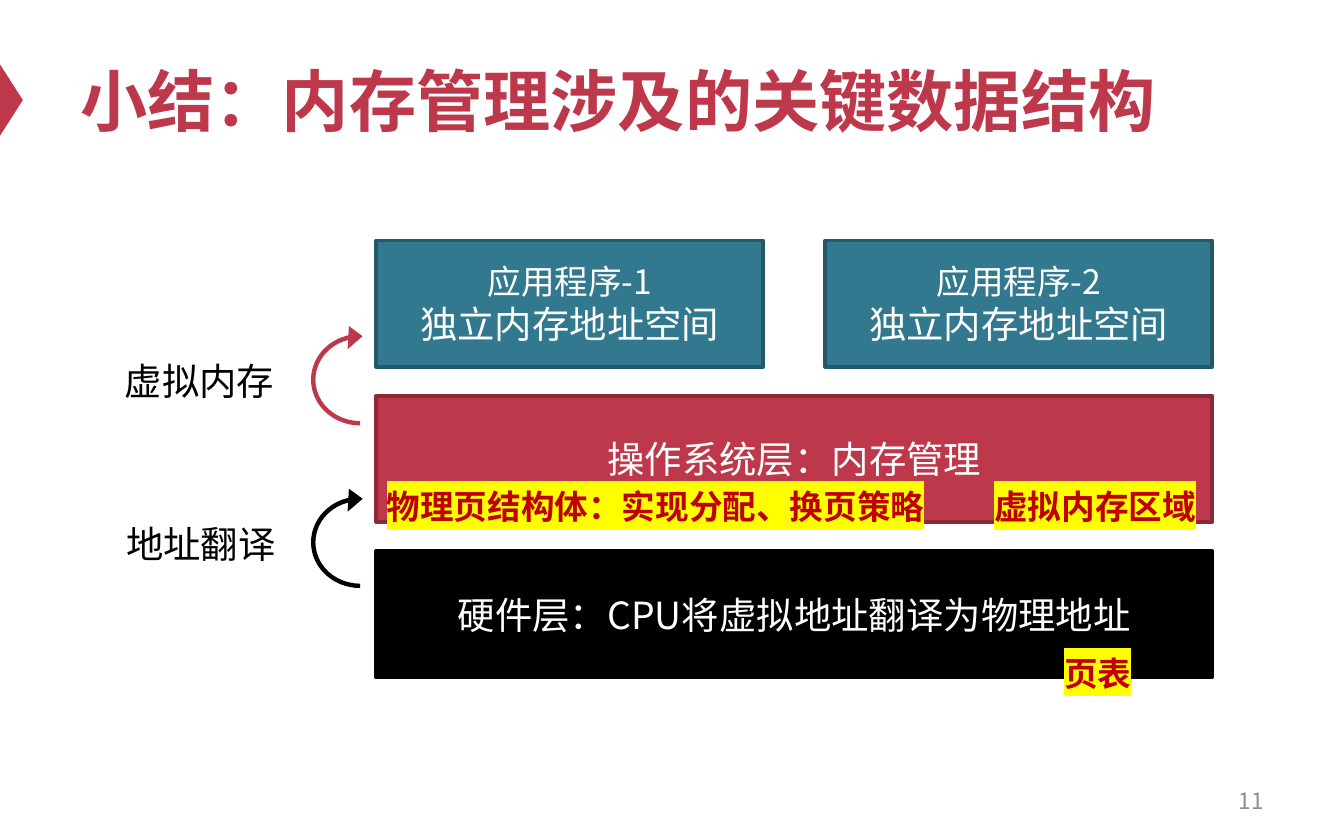
from lxml import etree
from pptx import Presentation
from pptx import util as u
from pptx.dml.color import RGBColor
from pptx.enum import shapes, text
from pptx.oxml.ns import qn

RED = RGBColor(0xBE, 0x38, 0x4B)
DARK_RED = RGBColor(0x8D, 0x29, 0x37)
TEAL = RGBColor(0x32, 0x78, 0x8E)
DARK_TEAL = RGBColor(0x25, 0x59, 0x69)
BLACK = RGBColor(0, 0, 0)
WHITE = RGBColor(0xFF, 0xFF, 0xFF)
GREY = RGBColor(0x8C, 0x8C, 0x8C)
NOTE_RED = RGBColor(0xC0, 0, 0)
YELLOW = RGBColor(0xFF, 0xFF, 0)
LATIN, CJK = "Arial", "Noto Sans CJK SC"
WIDTH, HEIGHT = 10, 6.25
LAYER_H, LAYER_PITCH = 0.94, 1.155


def inches(*values):
    return [u.Inches(v) for v in values]


def add_run(p, words, size, color, font=CJK, bold=False, highlight=None):
    r = p.add_run()
    r.text = words
    f = r.font
    f.size, f.bold, f.name = u.Pt(size), bold, font
    f.color.rgb = color
    rpr = r._r.get_or_add_rPr()
    ea = etree.Element(qn("a:ea"), typeface=CJK)
    rpr.find(qn("a:latin")).addnext(ea)
    if highlight is not None:
        mark = etree.Element(qn("a:highlight"))
        etree.SubElement(mark, qn("a:srgbClr"), val=str(highlight))
        rpr.find(qn("a:solidFill")).addnext(mark)


def add_text(s, box, words, size, color, wrap=False, align=text.PP_ALIGN.LEFT,
             anchor=text.MSO_ANCHOR.TOP, **style):
    tf = s.shapes.add_textbox(*inches(*box)).text_frame
    tf.word_wrap, tf.vertical_anchor = wrap, anchor
    if not wrap:
        tf.auto_size = text.MSO_AUTO_SIZE.SHAPE_TO_FIT_TEXT
    p = tf.paragraphs[0]
    p.alignment = align
    add_run(p, words, size, color, **style)


def add_shape(s, kind, box, fill, line=None):
    sp = s.shapes.add_shape(kind, *inches(*box))
    sp.shadow.inherit = False
    sp.fill.solid()
    sp.fill.fore_color.rgb = fill
    if line is None:
        sp.line.fill.background()
    else:
        sp.line.color.rgb = line
        sp.line.width = u.Pt(2)
    return sp


def add_layer(s, box, lines, fill, line):
    """Draw a block whose lines are (words, size) pairs."""
    sp = add_shape(s, shapes.MSO_SHAPE.RECTANGLE, box, fill, line)
    tf = sp.text_frame
    tf.word_wrap, tf.vertical_anchor = True, text.MSO_ANCHOR.MIDDLE
    p = tf.paragraphs[0]
    p.alignment = text.PP_ALIGN.CENTER
    for i, (words, size) in enumerate(lines):
        if i:
            p.add_line_break()
        add_run(p, words, size, WHITE)


def add_header(s, x, y, w, h, title):
    marker = add_shape(s, shapes.MSO_SHAPE.ISOSCELES_TRIANGLE,
                       (-0.18, y + 0.41, 0.53, 0.17), RED)
    marker.rotation = 90
    add_text(s, (x, y, w, h), title, 36, RED, wrap=True, font=LATIN, bold=True,
             anchor=text.MSO_ANCHOR.MIDDLE)


def add_page_number(s, x, y, w, h, number):
    add_text(s, (x, y, w, h), number, 12, GREY, wrap=True,
             align=text.PP_ALIGN.RIGHT, anchor=text.MSO_ANCHOR.MIDDLE)


def add_layer_stack(s, x, y, w):
    apps_y, system_y, hardware_y = [y + i * LAYER_PITCH for i in range(3)]
    add_layer(s, (x, hardware_y, w, LAYER_H),
              [("硬件层：CPU将虚拟地址翻译为物理地址", 20)], BLACK, BLACK)
    add_layer(s, (x, system_y, w, LAYER_H),
              [("操作系统层：内存管理", 20)], RED, DARK_RED)
    app_w = 2.88
    for i, app_x in enumerate((x, x + w - app_w), 1):
        add_layer(s, (app_x, apps_y, app_w, LAYER_H),
                  [(f"应用程序-{i}", 18), ("独立内存地址空间", 20)],
                  TEAL, DARK_TEAL)


def add_transition(s, x, y, label, label_x, color):
    """Draw a label and the curved arrow from one layer up to the next."""
    add_text(s, (label_x, y + 0.225, 1.32, 0.44), label, 20, BLACK, font=LATIN)
    arrow = add_shape(s, shapes.MSO_SHAPE.CIRCULAR_ARROW,
                      (x, y, 0.82, 0.87), color)
    arrow.rotation = 270
    for i, value in enumerate((0.04, 11.423, 206.559, 108, 0.105)):
        arrow.adjustments[i] = value


def add_structure_notes(s, x, y):
    for dx, dy, w, words in ((5.02, 1.24, 0.71, "页表"),
                             (4.5, 0, 1.72, "虚拟内存区域"),
                             (-0.02, 0, 4.24, "物理页结构体：实现分配、换页策略")):
        add_text(s, (x + dx, y + dy, w, 0.4), words, 18, NOTE_RED,
                 font=LATIN, bold=True, highlight=YELLOW)


def main():
    prs = Presentation()
    prs.slide_width, prs.slide_height = inches(WIDTH, HEIGHT)
    s = prs.slides.add_slide(prs.slide_layouts[6])
    add_header(s, 0.05 * WIDTH, 0.04 * HEIGHT, 0.9 * WIDTH, 0.98,
               "小结：内存管理涉及的关键数据结构")
    add_page_number(s, 7.17, 5.79, 2.33, 0.33, "11")
    add_layer_stack(s, 0.28 * WIDTH, 1.79, 6.22)
    add_transition(s, 2.27, 3.6, "地址翻译", 0.84, BLACK)
    add_transition(s, 2.27, 2.39, "虚拟内存", 0.83, RED)
    add_structure_notes(s, 0.28 * WIDTH, 3.57)
    prs.save("out.pptx")


if __name__ == "__main__":
    main()
